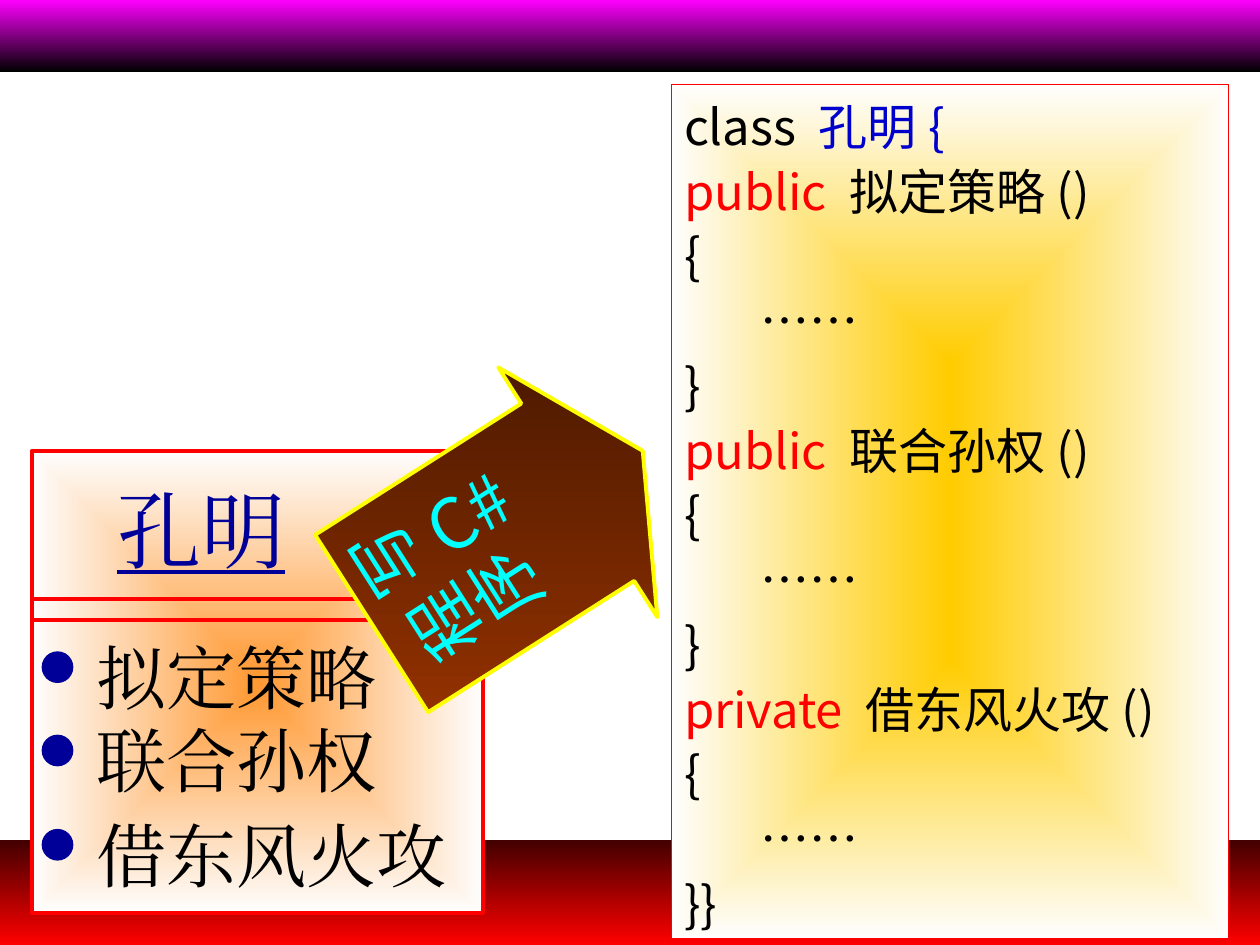
from dataclasses import dataclass
from typing import NamedTuple

from lxml.etree import SubElement
from pptx import Presentation
from pptx.dml.color import RGBColor
from pptx.enum.shapes import MSO_CONNECTOR, MSO_SHAPE
from pptx.enum.text import MSO_ANCHOR, PP_ALIGN
from pptx.oxml import parse_xml
from pptx.oxml.ns import nsdecls, qn
from pptx.util import Cm, Pt


@dataclass(frozen=True)
class Theme:
    black: str = "000000"
    red: str = "FF0000"
    navy: str = "000099"
    blue: str = "0000CC"
    cyan: str = "00FFFF"
    yellow: str = "FFFF00"
    pale: str = "FEFEFE"
    orange: str = "FF9933"
    gold: str = "FFCC00"
    magenta: str = "FF00FF"
    maroon: str = "420000"
    rust: str = "993300"
    brown: str = "461700"
    serif: str = "Times New Roman"
    sans: str = "Noto Sans CJK SC"
    name_size: int = 48
    item_size: int = 40
    code_size: int = 28
    code_pitch: int = 37
    thick: float = 2.25
    thin: float = 0.75


class Box(NamedTuple):
    left: float
    top: float
    width: float
    height: float


class Item(NamedTuple):
    text: str
    bullet_top: float
    width: float


class Span(NamedTuple):
    text: str
    color: str


class Method(NamedTuple):
    access: str
    name: str


THEME = Theme()
CARD = Box(0.64, 9.09, 9.09, 9.32)
ITEMS = [
    Item("拟定策略", 13.13, 7.41),
    Item("联合孙权", 14.81, 7.41),
    Item("借东风火攻", 16.71, 8.26),
]
METHODS = [
    Method("public ", "拟定策略()"),
    Method("public ", "联合孙权()"),
    Method("private ", "借东风火攻()"),
]


def lengths(box: Box) -> list:
    return [Cm(value) for value in box]


def set_gradient(shape, start: str, end: str, centred: bool = False) -> None:
    """Fill from top to bottom, or from the centre outwards."""
    if centred:
        direction = ('<a:path path="rect"><a:fillToRect l="50000" t="50000" '
                     'r="50000" b="50000"/></a:path>')
    else:
        direction = '<a:lin ang="5400000" scaled="1"/>'
    fill = parse_xml(
        f'<a:gradFill {nsdecls("a")} rotWithShape="0"><a:gsLst>'
        f'<a:gs pos="0"><a:srgbClr val="{start}"/></a:gs>'
        f'<a:gs pos="100000"><a:srgbClr val="{end}"/></a:gs>'
        f'</a:gsLst>{direction}</a:gradFill>')
    shape._element.spPr.find(qn("a:prstGeom")).addnext(fill)


def set_line(shape, color: str, width: float) -> None:
    shape.line.color.rgb = RGBColor.from_string(color)
    shape.line.width = Pt(width)


def add_shape(page, kind, box: Box):
    shape = page.shapes.add_shape(kind, *lengths(box))
    shape.shadow.inherit = False
    return shape


def add_band(page, box: Box, start: str, end: str) -> None:
    band = add_shape(page, MSO_SHAPE.RECTANGLE, box)
    band.line.fill.background()
    set_gradient(band, start, end)


def add_panel(page, box: Box, center: str, width: float):
    panel = add_shape(page, MSO_SHAPE.RECTANGLE, box)
    set_line(panel, THEME.red, width)
    set_gradient(panel, center, THEME.pale, centred=True)
    return panel


def add_divider(page, top: float) -> None:
    divider = page.shapes.add_connector(
        MSO_CONNECTOR.STRAIGHT, Cm(CARD.left), Cm(top),
        Cm(CARD.left + CARD.width), Cm(top))
    set_line(divider, THEME.red, THEME.thick)
    SubElement(divider._element.spPr, qn("a:effectLst"))


def format_span(span, font: str, size: int, color: str) -> None:
    span.font.name = font
    span.font.size = Pt(size)
    span.font.color.rgb = RGBColor.from_string(color)
    SubElement(span._r.get_or_add_rPr(), qn("a:ea")).set("typeface", font)


def add_label(page, box: Box, text: str, size: int, color: str):
    label = page.shapes.add_textbox(*lengths(box))
    label.text_frame.word_wrap = True
    label.text_frame.text = text
    paragraph = label.text_frame.paragraphs[0]
    paragraph.line_spacing = 1.1
    format_span(paragraph.runs[0], THEME.serif, size, color)
    return paragraph.runs[0]


def add_item(page, item: Item) -> None:
    bullet = add_shape(page, MSO_SHAPE.OVAL, Box(0.84, item.bullet_top, 0.64, 0.64))
    bullet.fill.solid()
    bullet.fill.fore_color.rgb = RGBColor.from_string(THEME.navy)
    bullet.line.fill.background()
    add_label(page, Box(1.7, item.bullet_top - 0.63, item.width, 2.13),
              item.text, THEME.item_size, THEME.black)


def add_arrow(page) -> None:
    arrow = add_shape(page, MSO_SHAPE.DOWN_ARROW, Box(7.24, 7.59, 5.97, 6.48))
    arrow.adjustments[0], arrow.adjustments[1] = 0.71, 0.26
    arrow.rotation = 57.5
    arrow._element.spPr.find(qn("a:xfrm")).set("flipV", "1")
    set_line(arrow, THEME.yellow, THEME.thick)
    set_gradient(arrow, THEME.rust, THEME.brown)
    frame = arrow.text_frame
    frame.text = "写C#\n程序"
    frame.word_wrap = False
    frame.vertical_anchor = MSO_ANCHOR.MIDDLE
    frame.margin_left = frame.margin_right = Cm(0.13)
    frame.margin_top = frame.margin_bottom = Cm(0.25)
    frame._txBody.bodyPr.set("vert", "eaVert")
    for paragraph in frame.paragraphs:
        paragraph.alignment = PP_ALIGN.CENTER
        format_span(paragraph.runs[0], THEME.sans, THEME.item_size, THEME.cyan)


def code_lines() -> list[list[Span]]:
    lines = [[Span("class ", THEME.black), Span("孔明{", THEME.blue)]]
    for method in METHODS:
        lines.append([Span(method.access, THEME.red), Span(method.name, THEME.black)])
        closing = "}}" if method is METHODS[-1] else "}"
        lines += [[Span(text, THEME.black)] for text in ("{", "       ……", closing)]
    return lines


def add_code(page) -> None:
    panel = add_panel(page, Box(13.54, 1.7, 11.23, 17.22), THEME.gold, THEME.thin)
    frame = panel.text_frame
    frame.word_wrap = True
    frame.vertical_anchor = MSO_ANCHOR.TOP
    for index, line in enumerate(code_lines()):
        paragraph = frame.add_paragraph() if index else frame.paragraphs[0]
        paragraph.alignment = PP_ALIGN.LEFT
        paragraph.line_spacing = Pt(THEME.code_pitch)
        for part in line:
            span = paragraph.add_run()
            span.text = part.text
            format_span(span, THEME.sans, THEME.code_size, part.color)


def main() -> None:
    deck = Presentation()
    deck.slide_width, deck.slide_height = Cm(25.4), Cm(19.05)
    page = deck.slides.add_slide(deck.slide_layouts[6])
    add_band(page, Box(0, 16.94, 25.4, 2.11), THEME.maroon, THEME.red)
    add_panel(page, CARD, THEME.orange, THEME.thick)
    for top in (12.07, 12.5):
        add_divider(page, top)
    name = add_label(page, Box(2.11, 9.32, 4.01, 2.49), "孔明",
                     THEME.name_size, THEME.navy)
    name.font.underline = True
    for item in ITEMS:
        add_item(page, item)
    add_band(page, Box(0, 0, 25.4, 1.45), THEME.magenta, THEME.black)
    add_arrow(page)
    add_code(page)
    deck.save("out.pptx")


if __name__ == "__main__":
    main()
